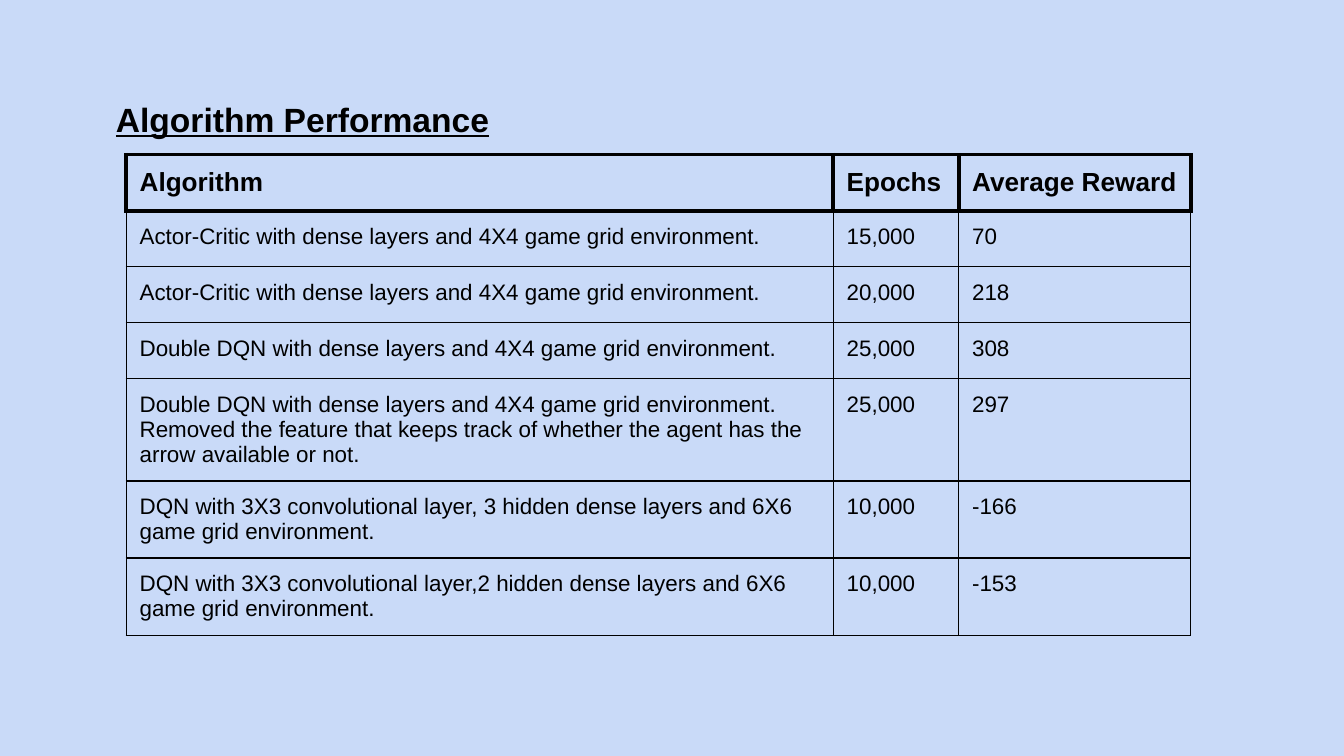
from pptx import Presentation
from pptx.dml.color import RGBColor
from pptx.enum.text import MSO_ANCHOR as Anchor, MSO_AUTO_SIZE as AutoSize, PP_ALIGN as Align
from pptx.oxml import parse_xml
from pptx.oxml.ns import nsdecls, qn
from pptx.util import Pt

BLACK = "000000"
BACKGROUND = "C9DAF8"
PAD = 7.2
NO_STYLE = "{2D5ABB26-0587-4C30-8999-92F81FD0307C}"
THIN, THICK = 0.75, 2.25

COLUMNS = [378.8, 67.2, 124.4]
ROW_HEIGHT = 30
ROWS = [
    ("Algorithm", "Epochs", "Average Reward"),
    ("Actor-Critic with dense layers and 4X4 game grid environment.", "15,000", "70"),
    ("Actor-Critic with dense layers and 4X4 game grid environment.", "20,000", "218"),
    ("Double DQN with dense layers and 4X4 game grid environment.", "25,000", "308"),
    ("Double DQN with dense layers and 4X4 game grid environment. Removed the feature "
     "that keeps track of whether the agent has the arrow available or not.", "25,000", "297"),
    ("DQN with 3X3 convolutional layer, 3 hidden dense layers and 6X6 game grid environment.",
     "10,000", "-166"),
    ("DQN with 3X3 convolutional layer,2 hidden dense layers and 6X6 game grid environment.",
     "10,000", "-153"),
]


def color(value):
    return RGBColor.from_string(value)


def write(tf, text, size, bold=False, underline=False):
    tf.text = text
    p = tf.paragraphs[0]
    p.alignment = Align.LEFT
    p.line_spacing = 1.0
    p.space_before = Pt(0)
    font = p.runs[0].font
    font.name = "Arial"
    font.size = Pt(size)
    font.bold = bold
    font.underline = underline
    font.color.rgb = color(BLACK)


def set_margins(box):
    box.margin_left = box.margin_right = box.margin_top = box.margin_bottom = Pt(PAD)


def set_borders(cell, **widths):
    tc_pr = cell._tc.get_or_add_tcPr()
    for side in "LRTB":
        tc_pr.append(parse_xml(
            f'<a:ln{side} {nsdecls("a")} w="{Pt(widths[side])}">'
            f'<a:solidFill><a:srgbClr val="{BLACK}"/></a:solidFill>'
            f'<a:prstDash val="solid"/></a:ln{side}>'))


def add_title(slide, left, top, width, height):
    sp = slide.shapes.title
    sp.left, sp.top, sp.width, sp.height = Pt(left), Pt(top), Pt(width), Pt(height)
    tf = sp.text_frame
    tf.word_wrap = True
    tf.auto_size = AutoSize.NONE
    tf.vertical_anchor = Anchor.TOP
    set_margins(tf)
    write(tf, "Algorithm Performance", 18, bold=True, underline=True)


def add_results(slide, left, top):
    frame = slide.shapes.add_table(len(ROWS), len(COLUMNS), Pt(left), Pt(top),
                                   Pt(sum(COLUMNS)), Pt(ROW_HEIGHT * len(ROWS)))
    table = frame.table
    table.horz_banding = False
    table._tbl.tblPr.find(qn("a:tableStyleId")).text = NO_STYLE
    for column, width in zip(table.columns, COLUMNS):
        column.width = Pt(width)
    for i, values in enumerate(ROWS):
        table.rows[i].height = Pt(ROW_HEIGHT)
        header = i == 0
        edge = THICK if header else THIN
        for j, value in enumerate(values):
            cell = table.cell(i, j)
            set_margins(cell)
            cell.vertical_anchor = Anchor.TOP
            write(cell.text_frame, value, 14 if header else 12, bold=header)
            set_borders(cell, L=edge, R=edge, T=THICK if i < 2 else THIN, B=edge)
            cell.fill.background()


def main():
    prs = Presentation()
    prs.slide_width, prs.slide_height = Pt(720), Pt(405)
    slide = prs.slides.add_slide(prs.slide_layouts[5])
    fill = slide.background.fill
    fill.solid()
    fill.fore_color.rgb = color(BACKGROUND)
    add_title(slide, 54.9, 45.8, 603.2, 270)
    add_results(slide, 67.6, 82.8)
    prs.save("out.pptx")


if __name__ == "__main__":
    main()
